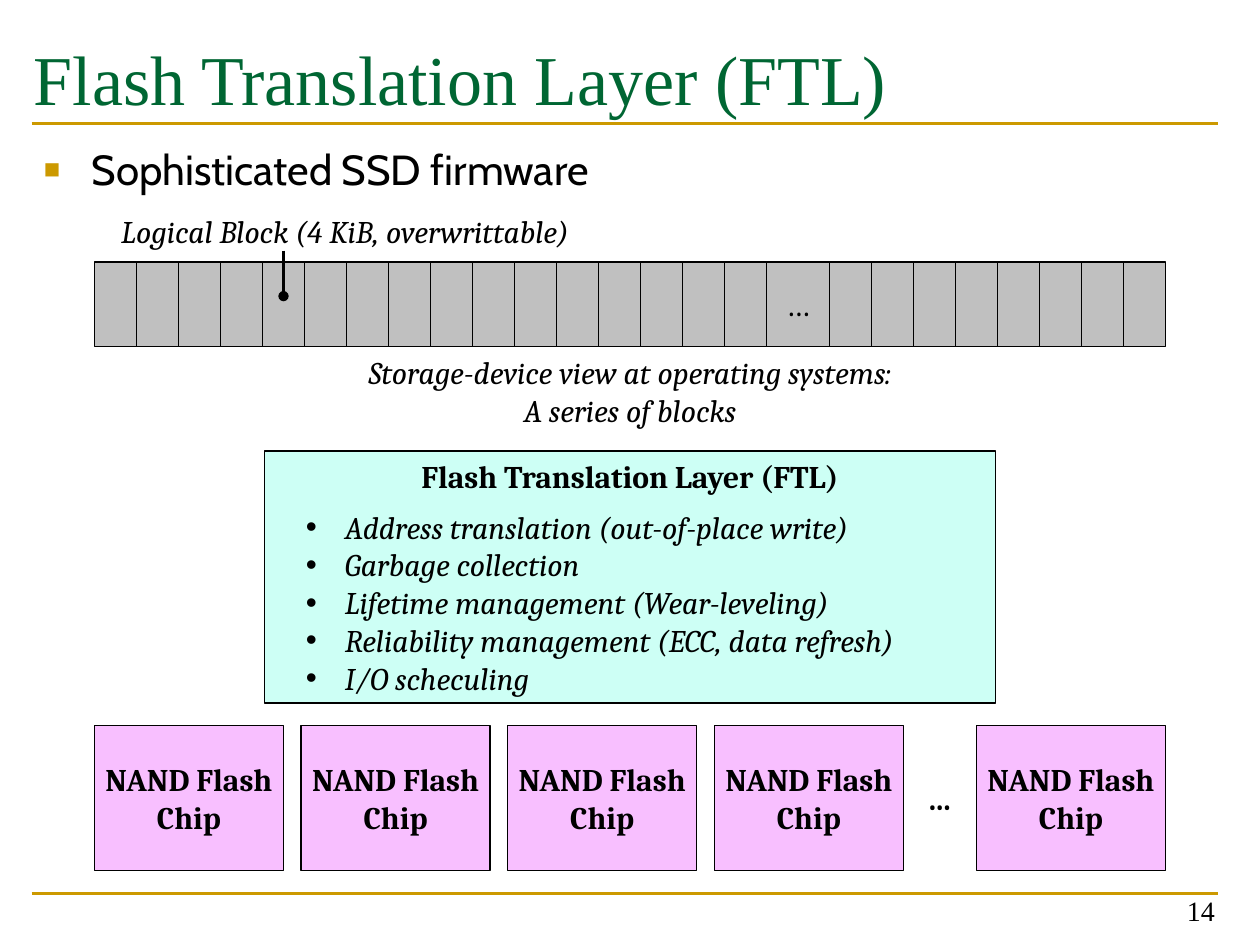
from lxml import etree
from pptx import Presentation
from pptx.dml.color import RGBColor
from pptx.enum.shapes import MSO_CONNECTOR, MSO_SHAPE
from pptx.enum.text import MSO_ANCHOR, PP_ALIGN
from pptx.oxml.ns import qn
from pptx.util import Inches, Pt

RECTANGLE = MSO_SHAPE.RECTANGLE
STRAIGHT = MSO_CONNECTOR.STRAIGHT
TOP, MIDDLE, BOTTOM = MSO_ANCHOR.TOP, MSO_ANCHOR.MIDDLE, MSO_ANCHOR.BOTTOM
LEFT, CENTER, RIGHT = PP_ALIGN.LEFT, PP_ALIGN.CENTER, PP_ALIGN.RIGHT

COLORS = {"text": "000000", "title": "006633", "gold": "CC9900",
          "block": "C0C0C0", "chip": "F8BFFF", "ftl": "CDFFF5"}

TITLE = {"name": "Times New Roman", "size": Pt(40)}
BODY = {"name": "Cabin", "size": Pt(24)}
NUMBER = {"name": "Times New Roman", "size": Pt(16)}
PLAIN = {"name": "Cambria", "size": Pt(18)}
ITALIC = {**PLAIN, "italic": True}
BOLD = {**PLAIN, "bold": True}

FTL_TASKS = ["Address translation (out-of-place write)",
             "Garbage collection",
             "Lifetime management (Wear-leveling)",
             "Reliability management (ECC, data refresh)",
             "I/O scheculing"]


def rgb(color):
    return RGBColor.from_string(COLORS[color])


def add_bullet(para, char, indent, color="text", percent=100):
    """Give the paragraph a bullet with a hanging indent in inches."""
    props = para._p.get_or_add_pPr()
    props.set("marL", str(Inches(indent)))
    props.set("indent", str(-Inches(indent)))
    bullet_color = etree.SubElement(props, qn("a:buClr"))
    etree.SubElement(bullet_color, qn("a:srgbClr"), val=COLORS[color])
    etree.SubElement(props, qn("a:buSzPct"), val=str(percent * 1000))
    etree.SubElement(props, qn("a:buFont"), typeface="Arial")
    etree.SubElement(props, qn("a:buChar"), char=char)


def write(shape, lines, style, align=LEFT, anchor=TOP, color="text",
          side=0.1, top=0.05, bullet=None):
    """Fill a shape with one paragraph for each line."""
    frame = shape.text_frame
    layout = {"word_wrap": True, "vertical_anchor": anchor,
              "margin_left": Inches(side), "margin_right": Inches(side),
              "margin_top": Inches(top), "margin_bottom": Inches(0.05)}
    for key, value in layout.items():
        setattr(frame, key, value)
    for index, line in enumerate(lines):
        para = frame.paragraphs[0] if index == 0 else frame.add_paragraph()
        para.text = line
        para.alignment = align
        if bullet:
            add_bullet(para, **bullet)
        for span in para.runs:
            for key, value in style.items():
                setattr(span.font, key, value)
            span.font.color.rgb = rgb(color)


def add_text(page, box, lines, style, **options):
    shape = page.shapes.add_textbox(*map(Inches, box))
    write(shape, lines, style, **options)


def add_box(page, box, fill):
    shape = page.shapes.add_shape(RECTANGLE, *map(Inches, box))
    shape.shadow.inherit = False
    shape.fill.solid()
    shape.fill.fore_color.rgb = rgb(fill)
    shape.line.color.rgb = rgb("text")
    shape.line.width = Pt(0.75)
    return shape


def add_line(page, start, end, color):
    line = page.shapes.add_connector(STRAIGHT, *map(Inches, start + end))
    line.line.color.rgb = rgb(color)
    line.line.width = Pt(1.5)
    etree.SubElement(line._element.spPr, qn("a:effectLst"))
    return line


def add_page_frame(page, left, top, width, height):
    """Rules, title, lead bullet and page number."""
    for y in (top, top + height):
        add_line(page, (left, y), (left + width, y), "gold")
    add_text(page, (left - 0.08, top - 0.81, width + 0.25, 1.17),
             ["Flash Translation Layer (FTL)"], TITLE, color="title", top=0.11)
    add_text(page, (left, top + 0.11, width, 0.5),
             ["Sophisticated SSD firmware"], BODY,
             bullet={"char": "■", "indent": 0.38, "color": "gold", "percent": 65})
    add_text(page, (left + width - 2.26, top + height - 0.18, 2.33, 0.5),
             ["14"], NUMBER, align=RIGHT, anchor=BOTTOM)


def add_block_row(page, left, top, width, height):
    """Logical blocks with a wider gap cell, a callout and a caption."""
    before, after, gap = 16, 8, 0.5
    cell = (width - gap) / (before + after)
    gap_left = left + before * cell
    starts = [left + i * cell for i in range(before)]
    starts += [gap_left + gap + i * cell for i in range(after)]
    for x in starts:
        add_box(page, (x, top, cell, height), "block")
    gap_box = add_box(page, (gap_left, top, gap, height), "block")
    write(gap_box, ["…"], PLAIN, align=CENTER, anchor=MIDDLE)

    add_text(page, (left - 0.67, top - 0.45, 5.32, 0.4),
             ["Logical Block (4 KiB, overwrittable)"], ITALIC,
             align=CENTER, anchor=MIDDLE)
    pointer_x = left + 4.5 * cell
    pointer = add_line(page, (pointer_x, top - 0.09), (pointer_x, top + 0.27), "text")
    etree.SubElement(pointer.line._get_or_add_ln(), qn("a:tailEnd"), type="oval")
    add_text(page, (left + (width - 5.32) / 2, top + height, 5.32, 0.71),
             ["Storage-device view at operating systems:\vA series of blocks"],
             ITALIC, align=CENTER, anchor=MIDDLE)


def add_ftl_panel(page, left, top, width, height):
    panel = add_box(page, (left, top, width, height), "ftl")
    write(panel, ["Flash Translation Layer (FTL)"], BOLD, align=CENTER)
    add_text(page, (left + 0.23, top + 0.4, 5.07, height - 0.4), FTL_TASKS,
             ITALIC, bullet={"char": "•", "indent": 0.31})


def add_chip_row(page, left, top, width, height):
    """Four chips, an ellipsis and a last chip at the right edge."""
    chip, gap, dots = 1.5, 0.14, 0.5
    starts = [left + i * (chip + gap) for i in range(4)] + [left + width - chip]
    for x in starts:
        shape = add_box(page, (x, top, chip, height), "chip")
        write(shape, ["NAND Flash", "Chip"], BOLD, align=CENTER,
              anchor=MIDDLE, side=0)
    middle = (starts[-2] + chip + starts[-1]) / 2
    add_text(page, (middle - dots / 2, top + 0.24, dots, 0.67), ["…"], BOLD,
             align=CENTER, anchor=MIDDLE, side=0)


def main():
    deck = Presentation()
    deck.slide_width, deck.slide_height = Inches(10), Inches(7.5)
    page = deck.slides.add_slide(deck.slide_layouts[6])
    add_page_frame(page, 0.25, 0.98, 9.42, 6.11)
    add_block_row(page, 0.75, 2.08, 8.5, 0.67)
    add_chip_row(page, 0.75, 5.76, 8.5, 1.15)
    add_ftl_panel(page, 2.1, 3.58, 5.8, 2)
    deck.save("out.pptx")


if __name__ == "__main__":
    main()
